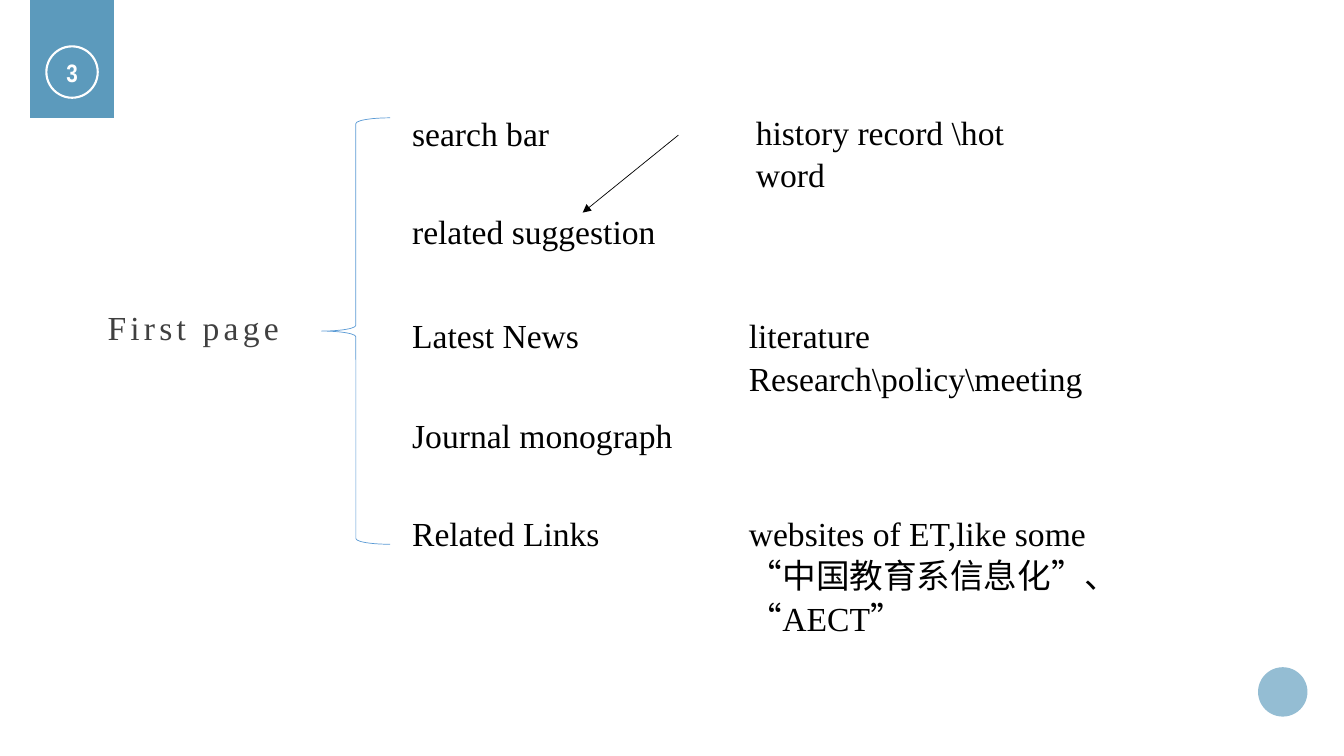
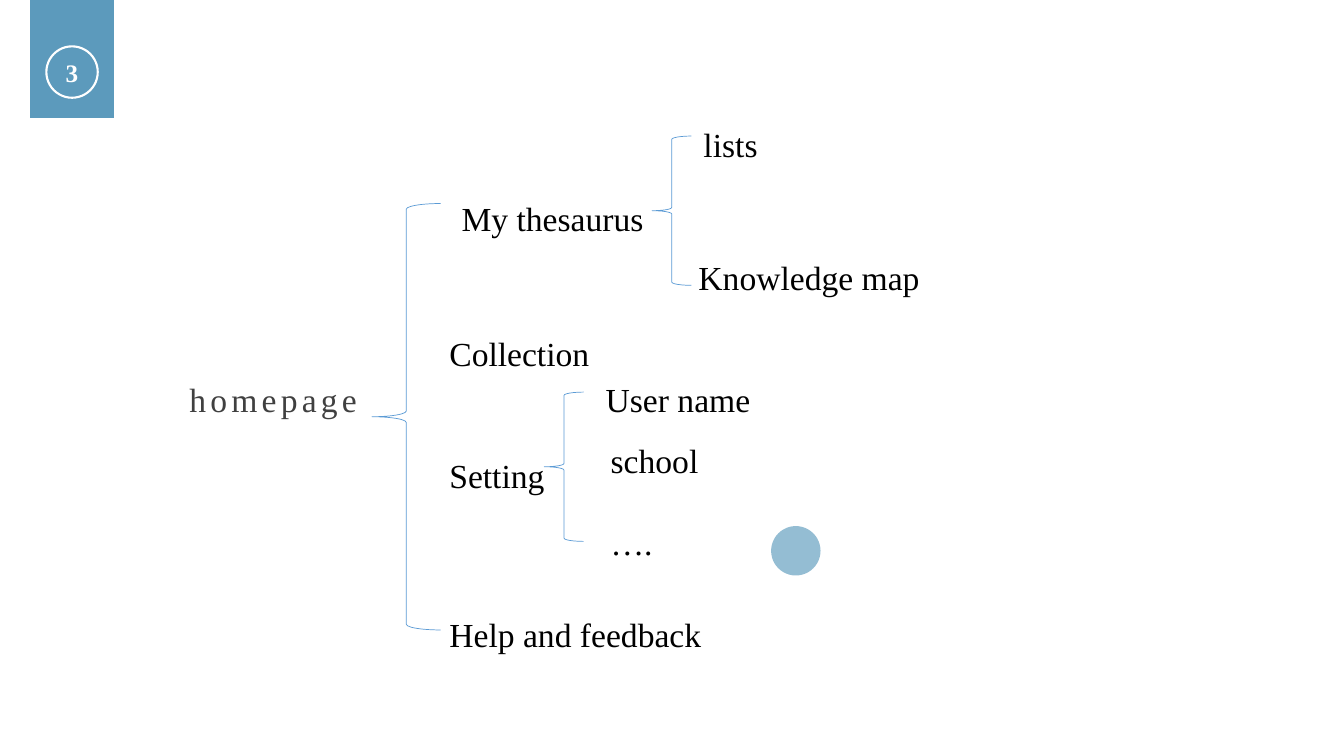
from pptx import Presentation
from pptx.dml.color import RGBColor
from pptx.enum.shapes import MSO_CONNECTOR, MSO_SHAPE as Preset
from pptx.enum.text import MSO_ANCHOR, PP_ALIGN
from pptx.oxml.ns import qn
from pptx.util import Pt
from lxml.etree import SubElement

COLORS = {
    "ribbon": "5C9ABC",
    "dot": "94BDD3",
    "brace": "5B9BD5",
    "title": "404040",
    "text": "000000",
    "white": "FFFFFF",
}
SERIF = "Times New Roman"
NARROW = "Arial Narrow"
BIG_BRACE = (49, 304.6)
SMALL_BRACE = (28.1, 106.6)


def color(name):
    return RGBColor.from_string(COLORS[name])


def add_preset(page, preset, left, top, width, height, fill=None, line=None, weight=0.5):
    shape = page.shapes.add_shape(preset, Pt(left), Pt(top), Pt(width), Pt(height))
    shape.shadow.inherit = False
    if fill:
        shape.fill.solid()
        shape.fill.fore_color.rgb = color(fill)
    else:
        shape.fill.background()
    if line:
        shape.line.color.rgb = color(line)
        shape.line.width = Pt(weight)
    else:
        shape.line.fill.background()
    return shape


def write(para, text, size=24, font=SERIF, ink="text", bold=False, tracking=0):
    """Add one formatted span; tracking is the letter spacing in points."""
    span = para.add_run()
    span.text = text
    span.font.size = Pt(size)
    span.font.name = font
    span.font.bold = bold
    span.font.color.rgb = color(ink)
    if tracking:
        span.font._element.set("spc", str(tracking * 100))


def add_label(page, text, left, top, width=220, height=36, **style):
    box = page.shapes.add_textbox(Pt(left), Pt(top), Pt(width), Pt(height))
    box.text_frame.word_wrap = True
    para = box.text_frame.paragraphs[0]
    para.line_spacing = 1.05
    write(para, text, **style)


def add_title(page, text, left, top):
    add_label(page, text, left, top, width=309, height=44, ink="title", tracking=3)


def add_brace(page, left, top, size):
    add_preset(page, Preset.LEFT_BRACE, left, top, *size, line="brace")


def add_arrow(page, start, end):
    points = [Pt(value) for value in (*start, *end)]
    arrow = page.shapes.add_connector(MSO_CONNECTOR.STRAIGHT, *points)
    arrow.line.color.rgb = color("text")
    arrow.line.width = Pt(0.5)
    SubElement(arrow.line._get_or_add_ln(), qn("a:tailEnd"), type="triangle")
    SubElement(arrow._element.spPr, qn("a:effectLst"))


def add_page(deck, number, number_font, dot):
    """Add a blank page with the numbered ribbon and the round dot."""
    page = deck.slides.add_slide(deck.slide_layouts[6])
    add_preset(page, Preset.RECTANGLE, 21.6, 0, 59.8, 84.2, fill="ribbon")
    ring = add_preset(page, Preset.OVAL, 33.1, 33.1, 36.7, 36.7, line="white", weight=1.5)
    frame = ring.text_frame
    frame.margin_left = frame.margin_right = 0
    frame.vertical_anchor = MSO_ANCHOR.MIDDLE
    para = frame.paragraphs[0]
    para.alignment = PP_ALIGN.CENTER
    write(para, number, size=18, font=number_font, ink="white", bold=True)
    add_preset(page, Preset.OVAL, *dot, 35.3, 35.3, fill="dot")
    return page


def add_first_page(deck):
    page = add_page(deck, "3", NARROW, dot=(898.6, 476.6))
    add_title(page, "First page", 69.8, 214.6)
    add_brace(page, 229.7, 84.2, BIG_BRACE)
    sections = {
        "search bar": 75.6,
        "related suggestion": 145.4,
        "Latest News": 220.3,
        "Journal monograph": 291.6,
        "Related Links": 361.4,
    }
    for text, top in sections.items():
        add_label(page, text, 287.3, top)
    add_label(page, r"history record \hot word", 532.8, 74.9, 208, 65.5)
    add_label(page, r"literature Research\policy\meeting", 527.8, 220.3, 296, 65.5)
    add_label(page, "websites of ET,like some “中国教育系信息化”、“AECT”",
              527.8, 361.4, 308, 94.3)
    add_arrow(page, (484.6, 96.5), (416.2, 151.9))


def add_homepage(deck):
    page = add_page(deck, "3", SERIF, dot=(550.8, 375.8))
    add_title(page, "homepage", 128.2, 265.9)
    add_brace(page, 265.7, 145.4, BIG_BRACE)
    add_brace(page, 388.8, 280.1, SMALL_BRACE)
    add_brace(page, 465.8, 97.2, SMALL_BRACE)
    labels = [
        ("My thesaurus", 322.6, 136.1),
        ("Collection", 313.9, 232.6),
        ("Setting", 313.9, 319.7),
        ("Help and feedback", 313.9, 433.4),
        ("lists", 495.4, 83.5),
        ("Knowledge map", 491.8, 178.6),
        ("User name", 425.5, 265.7),
        ("school", 429.1, 309.6),
        ("….", 429.1, 367.9),
    ]
    for text, left, top in labels:
        add_label(page, text, left, top)


def main():
    deck = Presentation()
    deck.slide_width, deck.slide_height = Pt(960), Pt(540)
    add_first_page(deck)
    add_homepage(deck)
    deck.save("out.pptx")


if __name__ == "__main__":
    main()
